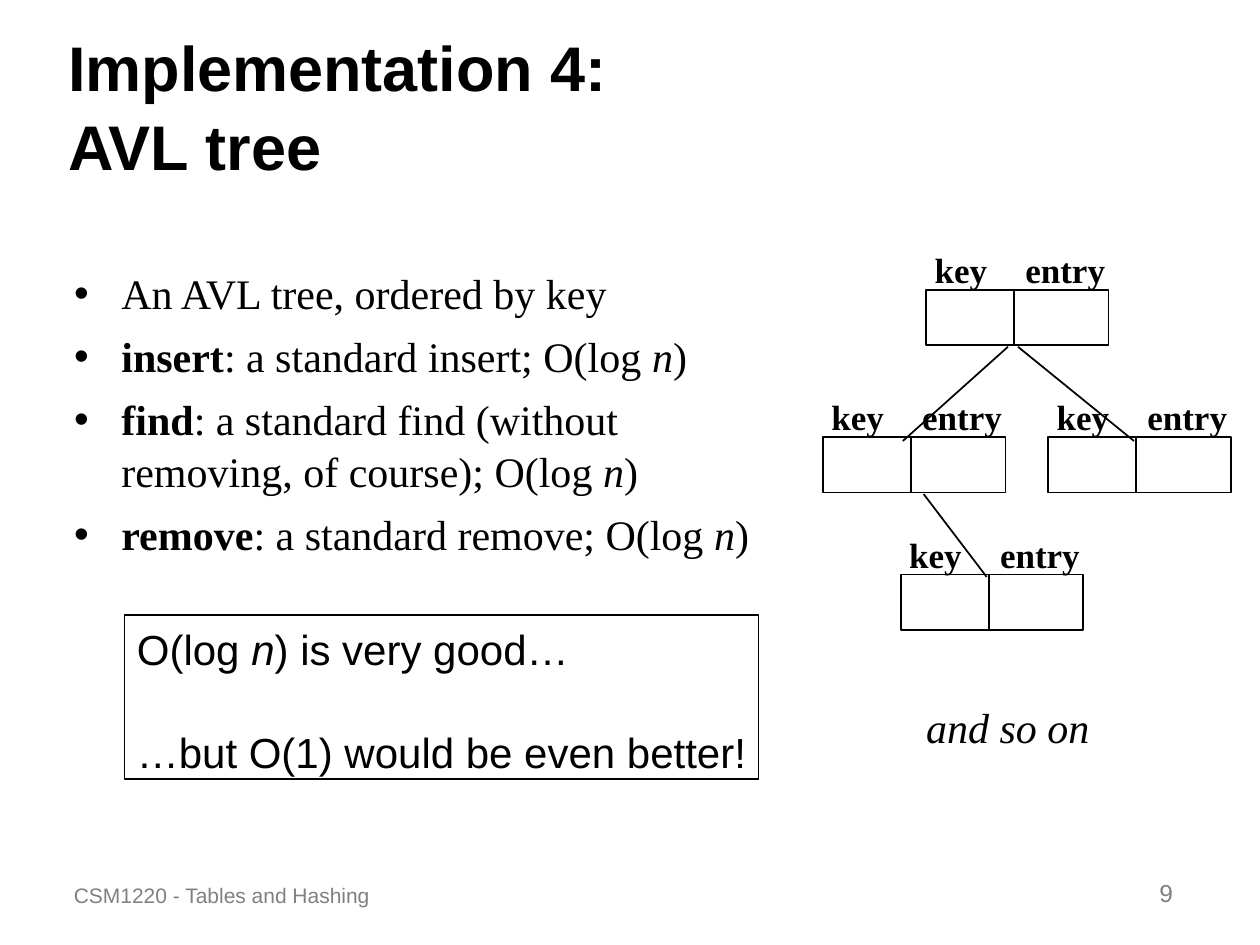
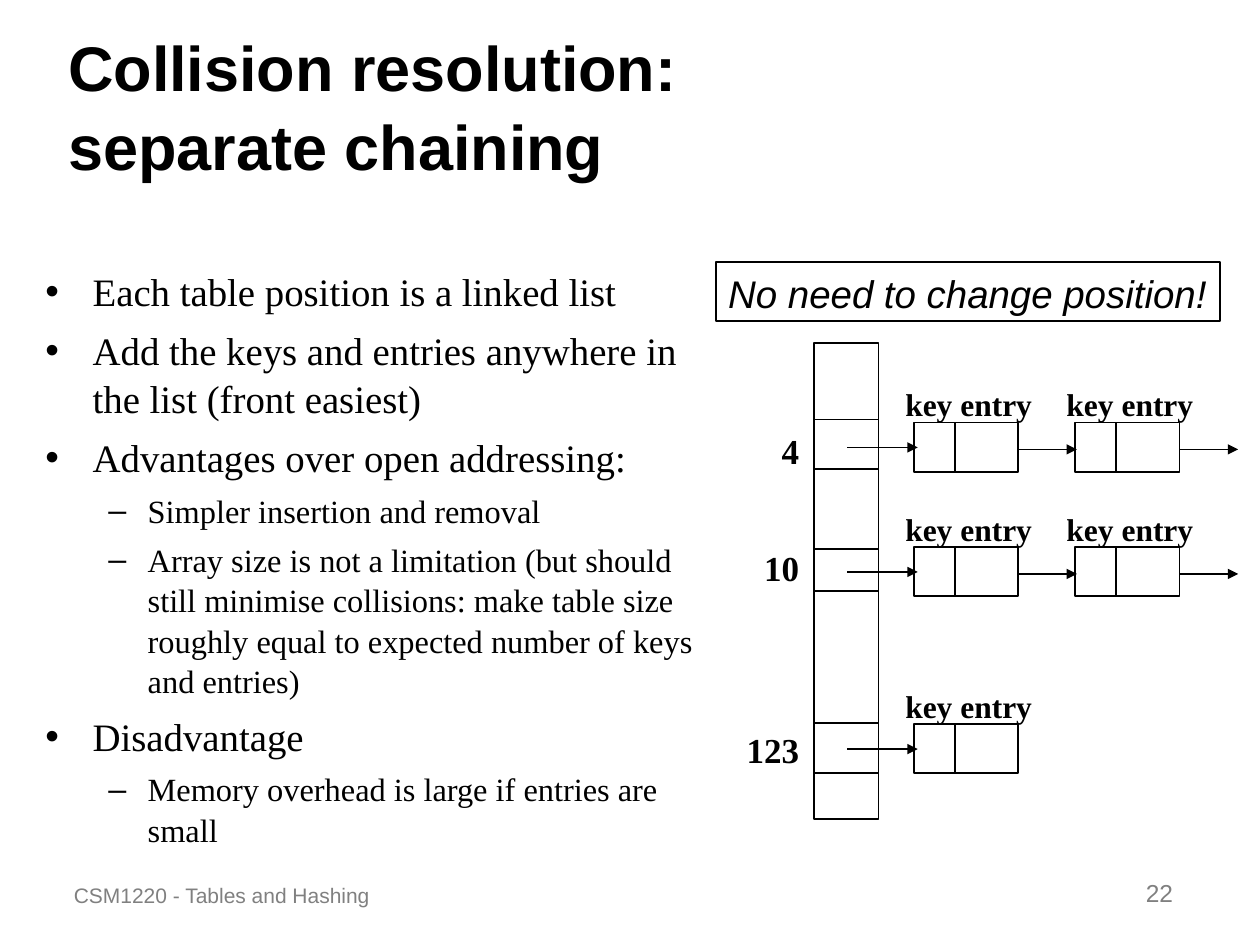
from lxml import etree
from pptx import Presentation
from pptx.dml.color import RGBColor
from pptx.enum.shapes import MSO_CONNECTOR, MSO_SHAPE
from pptx.enum.text import MSO_ANCHOR, MSO_AUTO_SIZE, PP_ALIGN
from pptx.oxml.ns import qn
from pptx.util import Cm, Pt

BLACK = RGBColor(0x00, 0x00, 0x00)
GREY = RGBColor(0x80, 0x80, 0x80)
SANS, SERIF = "Arial", "Times New Roman"
LEFT, RIGHT = PP_ALIGN.LEFT, PP_ALIGN.RIGHT
TOP, BOTTOM = MSO_ANCHOR.TOP, MSO_ANCHOR.BOTTOM
NO_AUTOFIT = MSO_AUTO_SIZE.NONE
RECTANGLE, STRAIGHT = MSO_SHAPE.RECTANGLE, MSO_CONNECTOR.STRAIGHT
LINE_SPACING = 1.04


def write(frame, paragraphs, sizes=(20,), font=SERIF, color=BLACK, bold=False,
          italic=False, align=LEFT, anchor=TOP, wrap=False, gaps=(0,)):
    """Fill a frame with (level, runs) pairs; sizes and gaps are in points, by level.

    A run is a string, or a (string, "b" or "i") pair; "\\v" breaks the line.
    """
    frame.auto_size = NO_AUTOFIT
    frame.word_wrap = wrap
    frame.vertical_anchor = anchor
    for number, (level, runs) in enumerate(paragraphs):
        paragraph = frame.add_paragraph() if number else frame.paragraphs[0]
        paragraph.level = level
        paragraph.alignment = align
        paragraph.line_spacing = LINE_SPACING
        paragraph.space_before = Pt(gaps[level] if number else 0)
        for piece in runs:
            if piece == "\v":
                paragraph.add_line_break()
                line_break = paragraph._p.findall(qn("a:br"))[-1]
                etree.SubElement(line_break, qn("a:rPr"), sz=str(sizes[level] * 100))
                continue
            words, style = (piece, "") if isinstance(piece, str) else piece
            run = paragraph.add_run()
            run.text = words
            run.font.name = font
            run.font.size = Pt(sizes[level])
            run.font.color.rgb = color
            run.font.bold = bold or style == "b"
            run.font.italic = italic or style == "i"


# AVL tree: each node is a box split into key and entry
NODE_W, NODE_H, NODE_SPLIT = 3.68, 1.12, 1.77
tree_boxes, tree_labels = [], []
tree_lines = [  # x1, y1, x2, y2, arrow
    (20.32, 6.99, 18.2, 8.89, False),
    (20.52, 6.99, 22.86, 8.89, False),
    (18.62, 9.96, 19.89, 11.63, False),
]
for x, y in [(18.67, 5.84), (16.59, 8.81), (21.13, 8.81), (18.16, 11.58)]:
    tree_boxes.append((x, y, NODE_W, NODE_H))
    tree_lines.append((x + NODE_SPLIT, y, x + NODE_SPLIT, y + NODE_H, False))
    for word, offset, width in [("key", -0.08, 1.55), ("entry", 1.75, 2.11)]:
        tree_labels.append((word, (x + offset, y - 0.99, width, NODE_H), {"bold": True}))
tree_labels.append(("and so on", (18.42, 13.97, 3.78, 1.27),
                    {"sizes": (24,), "italic": True}))

# Hash table: a column of slots, each pointing to a chain of nodes
SLOT_X, SLOT_W = 16.41, 1.3
CHAIN_X, CHAIN_STEP = 18.42, 3.25
LINK_W, LINK_H, LINK_SPLIT = 2.11, 0.99, 0.83
chain_boxes = [(SLOT_X, 6.91, SLOT_W, 9.6)]
chain_lines, chain_labels = [], []
chains = [  # index, index top, slot top, slot height, node top, nodes, arrows out
    ("4", 8.51, 8.46, 1.0, 8.52, 2, 2),
    ("10", 10.85, 11.07, 0.84, 11.03, 2, 2),
    ("123", 14.53, 14.58, 1.0, 14.6, 1, 0),
]
for index, index_y, slot_y, slot_h, y, nodes, arrows in chains:
    chain_boxes.append((SLOT_X, slot_y, SLOT_W, slot_h))
    chain_labels.append((index, (14.78, index_y, 1.58, 1.12),
                         {"bold": True, "align": RIGHT}))
    chain_lines.append((17.08, y + 0.5, 18.5, y + 0.5, True))
    for node in range(nodes):
        x = CHAIN_X + node * CHAIN_STEP
        chain_boxes.append((x, y, LINK_W, LINK_H))
        chain_lines.append((x + LINK_SPLIT, y, x + LINK_SPLIT, y + LINK_H, False))
        chain_labels.append(("key entry", (x - 0.42, y - 0.91, 3.05, 1.02),
                             {"sizes": (18,), "bold": True}))
        if node < arrows:
            chain_lines.append((x + LINK_W, y + 0.54, x + 3.29, y + 0.54, True))

avl_slide = {
    "title": ["Implementation 4:", "\v", "AVL tree"],
    "page": "9",
    "list_area": (1.24, 5.23, 14.4, 6.6),
    "list_sizes": (24,),
    "points": [
        (0, ["An AVL tree, ordered by key"]),
        (0, [("insert", "b"), ": a standard insert; O(log ", ("n", "i"), ")"]),
        (0, [("find", "b"), ": a standard find (without removing, of course); O(log ",
             ("n", "i"), ")"]),
        (0, [("remove", "b"), ": a standard remove; O(log ", ("n", "i"), ")"]),
    ],
    "callout_area": (2.51, 12.4, 12.78, 3.3),
    "callout": [(0, ["O(log ", ("n", "i"), ") is very good…"]),
                (0, ["…but O(1) would be even better!"])],
    "callout_format": {"sizes": (24,), "gaps": (28.8,)},
    "boxes": tree_boxes, "lines": tree_lines, "labels": tree_labels,
}
chaining_slide = {
    "title": ["Collision resolution:", "\v", "separate chaining"],
    "page": "22",
    "list_area": (0.66, 5.23, 13.61, 11.58),
    "list_sizes": (22.2, 18.5),
    "points": [
        (0, ["Each table position is a linked list"]),
        (0, ["Add the keys and entries anywhere in the list (front easiest)"]),
        (0, ["Advantages over open addressing:"]),
        (1, ["Simpler insertion and removal"]),
        (1, ["Array size is not a limitation (but should still minimise collisions: "
             "make table size roughly equal to expected number of keys and entries)"]),
        (0, ["Disadvantage"]),
        (1, ["Memory overhead is large if entries are small"]),
    ],
    "callout_area": (14.43, 5.28, 10.16, 1.19),
    "callout": [(0, ["No need to change position!"])],
    "callout_format": {"sizes": (22,), "italic": True},
    "boxes": chain_boxes, "lines": chain_lines, "labels": chain_labels,
}

deck = Presentation()
deck.slide_width, deck.slide_height = Cm(25.4), Cm(19.05)

for content in (avl_slide, chaining_slide):
    slide = deck.slides.add_slide(deck.slide_layouts[1])
    shapes = slide.shapes

    title, points = slide.placeholders
    title.left, title.top, title.width, title.height = map(Cm, (1.12, 0.64, 23.01, 3.18))
    write(title.text_frame, [(0, content["title"])], sizes=(36,), font=SANS, bold=True,
          anchor=BOTTOM, wrap=True)
    points.left, points.top, points.width, points.height = map(Cm, content["list_area"])
    write(points.text_frame, content["points"], sizes=content["list_sizes"],
          wrap=True, gaps=(6, 5))

    for area in content["boxes"] + [content["callout_area"]]:
        box = shapes.add_shape(RECTANGLE, *map(Cm, area))
        box.shadow.inherit = False
        box.fill.background()
        box.line.color.rgb = BLACK
        box.line.width = Pt(1)
    callout = box  # the callout is the last box drawn
    write(callout.text_frame, content["callout"], font=SANS, **content["callout_format"])

    for *ends, arrow in content["lines"]:
        line = shapes.add_connector(STRAIGHT, *map(Cm, ends))
        line.line.color.rgb = BLACK
        line.line.width = Pt(1)
        if arrow:
            etree.SubElement(line.line._get_or_add_ln(), qn("a:tailEnd"), type="triangle")
        etree.SubElement(line._element.spPr, qn("a:effectLst"))

    footer = {"font": SANS, "color": GREY, "anchor": BOTTOM, "wrap": True}
    footers = [
        ("CSM1220 - Tables and Hashing", (1.24, 17.15, 7.62, 1.27),
         {"sizes": (12,), **footer}),
        (content["page"], (18.62, 17.15, 5.28, 1.27),
         {"sizes": (14,), "align": RIGHT, **footer}),
    ]
    for words, area, text_format in content["labels"] + footers:
        label = shapes.add_textbox(*map(Cm, area))
        write(label.text_frame, [(0, [words])], **text_format)

deck.save("out.pptx")
